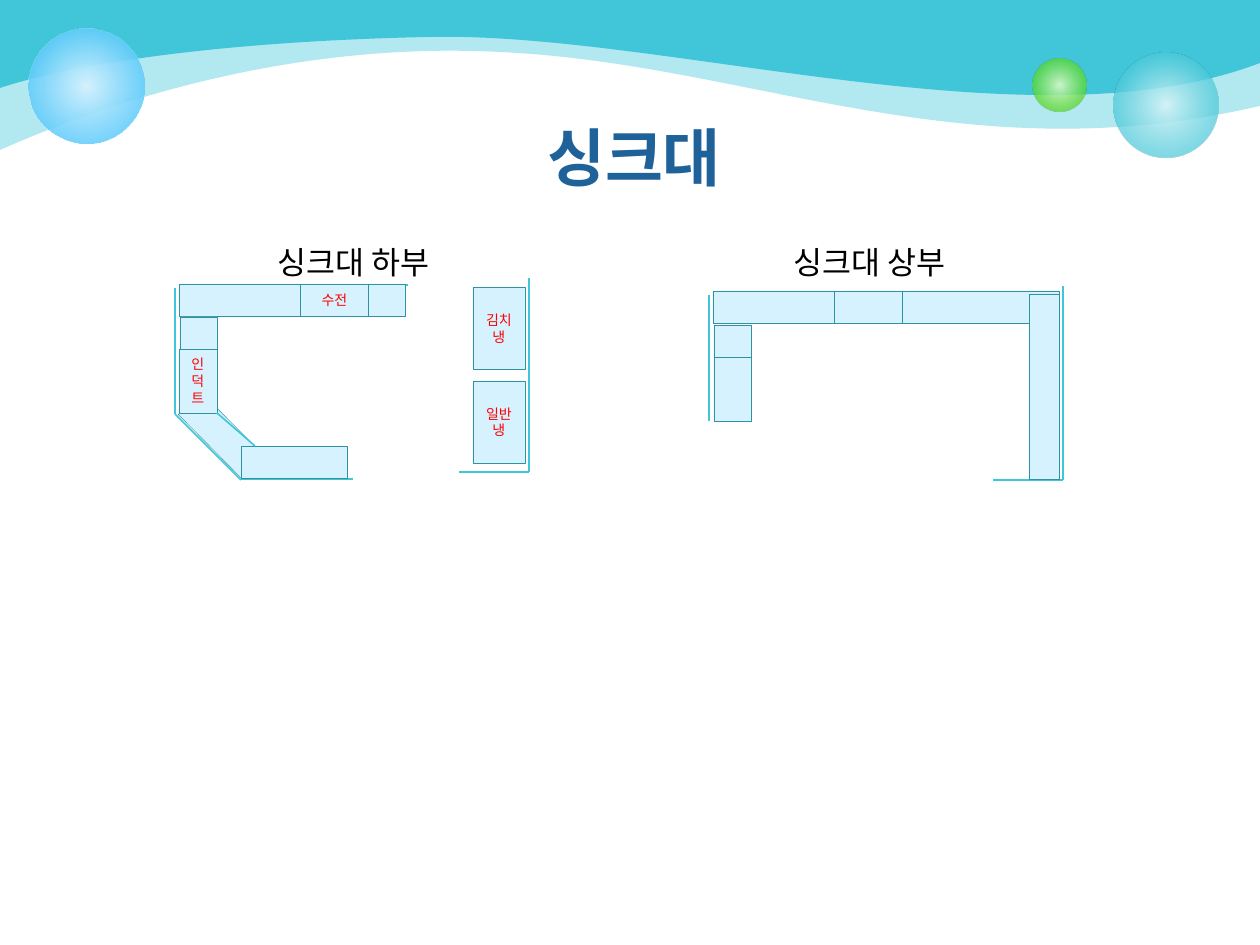
from dataclasses import dataclass

from lxml.etree import SubElement
from pptx import Presentation
from pptx.dml.color import RGBColor
from pptx.enum.shapes import MSO_CONNECTOR as Connector, MSO_SHAPE as Shape
from pptx.enum.text import MSO_ANCHOR as Anchor, MSO_AUTO_SIZE as AutoSize, PP_ALIGN as Align
from pptx.oxml.ns import qn
from pptx.util import Pt


@dataclass(frozen=True)
class Theme:
    """Colours, font and type sizes of the slide."""
    font: str = "Roboto"
    wave: str = "40C6D8"
    wall: str = "40C6D8"
    cabinet: str = "D6F2FE"
    outline: str = "2F92A0"
    title: str = "1F6299"
    caption: str = "000000"
    label: str = "FF0000"
    title_size: int = 36
    caption_size: int = 18
    label_size: int = 8
    wall_width: float = 0.9
    outline_width: float = 0.25


THEME = Theme()

WAVES = [
    ([(0, 59), (0, 92), (0, 150), (42, 132), (248, 39), (499, 52),
      (750, 63), (960, 176), (1260, 106), (1260, 71), (1260, 35), (1261, 0)], 40),
    ([(0, 35), (0, 52), (0, 88), (57, 69), (193, 42), (430, 37),
      (667, 32), (1033, 150), (1260, 63), (1260, 42), (1260, 20), (1260, 0)], 100),
]
BUBBLES = [
    ((1113, 53, 105), [(0, "D9F4F7", 90), (76, "40C6D8", 70)]),
    ((1033, 59, 53), [(0, "DAFACD", 90), (76, "4CD416", 70)]),
    ((29, 29, 115), [(0, "D6F2FE", 100), (100, "33BDFB", 80)]),
]
CORNER_CABINET = (176, 420, 92, 32)
LOWER_WALLS = [
    (179, 285, 408, 285), (175, 288, 175, 414), (175, 414, 241, 480),
    (241, 479, 353, 479), (529, 472, 459, 472), (529, 472, 529, 278),
]
LOWER_CABINETS = [
    ((179, 349, 38, 64), "인덕트"), ((300, 284, 69, 32), "수전"),
    ((179, 284, 121, 32), ""), ((368, 284, 37, 32), ""),
    ((180, 317, 37, 32), ""), ((241, 446, 106, 32), ""),
]
CORNER_EDGE = (217, 413, 255, 446)
FRIDGES = [((473, 381, 52, 82), "일반냉"), ((473, 287, 52, 82), "김치냉")]
UPPER_WALLS = [
    (714, 292, 942, 292), (709, 295, 709, 421),
    (1063, 480, 993, 480), (1063, 480, 1063, 286),
]
UPPER_CABINETS = [
    ((714, 357, 37, 64), ""), ((834, 291, 69, 32), ""), ((713, 291, 121, 32), ""),
    ((902, 291, 157, 32), ""), ((714, 325, 37, 32), ""), ((1029, 294, 30, 185), ""),
]
CAPTIONS = [((265, 237, 194, 50), "싱크대 하부"), ((781, 237, 194, 50), "싱크대 상부")]


def px(*lengths):
    """Turn px lengths into EMU at 126 px to the inch."""
    return [round(length * 914400 / 126) for length in lengths]


def rgb(value):
    """Make a colour from its hex text."""
    return RGBColor.from_string(value)


def set_alpha(color_element, percent):
    """Give a colour element its opacity."""
    if percent < 100:
        SubElement(color_element, qn("a:alpha"), val=str(percent * 1000))


def curve_outline(shape):
    """Turn each three line segments of a freeform into one cubic curve."""
    outline = next(shape.element.iter(qn("a:path")))
    segments = outline.findall(qn("a:lnTo"))
    for start in range(0, len(segments), 3):
        curve = SubElement(outline, qn("a:cubicBezTo"))
        segments[start].addprevious(curve)
        for segment in segments[start:start + 3]:
            curve.append(segment[0])
            outline.remove(segment)


def add_wave(slide, points, opacity):
    """Add a curved header band."""
    builder = slide.shapes.build_freeform(0, 0, scale=1.0)
    builder.add_line_segments([px(*point) for point in points], close=True)
    shape = builder.convert_to_shape()
    curve_outline(shape)
    shape.shadow.inherit = False
    shape.fill.solid()
    shape.fill.fore_color.rgb = rgb(THEME.wave)
    shape.line.fill.background()
    set_alpha(shape.element.spPr.find(qn("a:solidFill"))[0], opacity)


def add_bubble(slide, place, stops):
    """Add a circle with a radial gradient."""
    left, top, size = place
    shape = slide.shapes.add_shape(Shape.OVAL, *px(left, top, size, size))
    shape.shadow.inherit = False
    shape.line.fill.background()
    shape.fill.gradient()
    gradient = shape.element.spPr.find(qn("a:gradFill"))
    for child in list(gradient):
        gradient.remove(child)
    stop_list = SubElement(gradient, qn("a:gsLst"))
    for position, color, opacity in stops:
        stop = SubElement(stop_list, qn("a:gs"), pos=str(position * 1000))
        set_alpha(SubElement(stop, qn("a:srgbClr"), val=color), opacity)
    radial = SubElement(gradient, qn("a:path"), path="circle")
    SubElement(radial, qn("a:fillToRect"), {side: "50000" for side in "ltrb"})


def add_run(paragraph, text, size, color, bold=False):
    """Add one formatted run."""
    run = paragraph.add_run()
    run.text = text
    run.font.name = THEME.font
    run.font.size = Pt(size)
    run.font.bold = bold
    run.font.color.rgb = rgb(color)


def add_cabinet(slide, box, label="", rotation=0):
    """Add a cabinet or appliance with an optional label."""
    shape = slide.shapes.add_shape(Shape.RECTANGLE, *px(*box))
    shape.rotation = rotation
    shape.shadow.inherit = False
    shape.fill.solid()
    shape.fill.fore_color.rgb = rgb(THEME.cabinet)
    shape.line.color.rgb = rgb(THEME.outline)
    shape.line.width = Pt(THEME.outline_width)
    if label:
        frame = shape.text_frame
        frame.word_wrap = True
        frame.vertical_anchor = Anchor.MIDDLE
        paragraph = frame.paragraphs[0]
        paragraph.alignment = Align.CENTER
        add_run(paragraph, label, THEME.label_size, THEME.label)


def add_wall(slide, ends):
    """Add a straight wall line."""
    line = slide.shapes.add_connector(Connector.STRAIGHT, *px(*ends))
    line.line.color.rgb = rgb(THEME.wall)
    line.line.width = Pt(THEME.wall_width)
    SubElement(line.element.spPr, qn("a:effectLst"))


def add_title(slide, box, text):
    """Add the centred slide title."""
    frame = slide.shapes.add_textbox(*px(*box)).text_frame
    frame.word_wrap = True
    paragraph = frame.paragraphs[0]
    paragraph.alignment = Align.CENTER
    add_run(paragraph, text, THEME.title_size, THEME.title, bold=True)


def add_caption(slide, box, text):
    """Add the caption above a plan."""
    frame = slide.shapes.add_textbox(*px(*box)).text_frame
    frame.word_wrap = False
    frame.auto_size = AutoSize.SHAPE_TO_FIT_TEXT
    add_run(frame.paragraphs[0], text, THEME.caption_size, THEME.caption)


def add_plan(slide, walls, cabinets):
    """Add walls with the cabinets in front of them."""
    for ends in walls:
        add_wall(slide, ends)
    for box, label in cabinets:
        add_cabinet(slide, box, label)


def main():
    """Build and save the sink plan slide."""
    presentation = Presentation()
    presentation.slide_width, presentation.slide_height = px(1260, 945)
    slide = presentation.slides.add_slide(presentation.slide_layouts[6])
    for wave in WAVES:
        add_wave(slide, *wave)
    for bubble in BUBBLES:
        add_bubble(slide, *bubble)
    add_cabinet(slide, CORNER_CABINET, rotation=45.3)
    add_title(slide, (67, 112, 1134, 158), "싱크대")
    add_plan(slide, LOWER_WALLS, LOWER_CABINETS)
    add_plan(slide, [CORNER_EDGE], FRIDGES)
    add_plan(slide, UPPER_WALLS, UPPER_CABINETS)
    for box, text in CAPTIONS:
        add_caption(slide, box, text)
    presentation.save("out.pptx")


if __name__ == "__main__":
    main()
